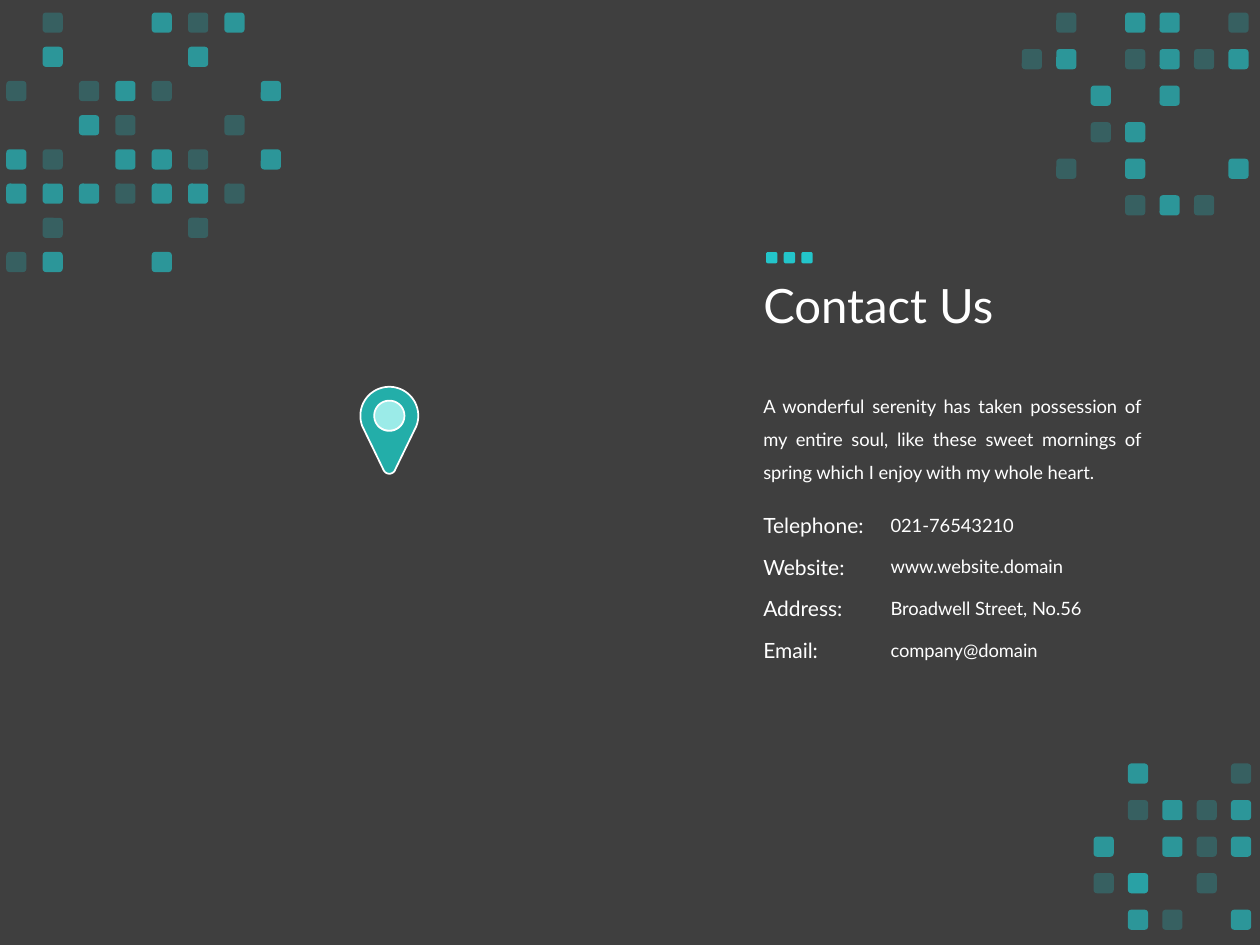
from math import cos, radians, sin

from lxml import etree
from pptx import Presentation
from pptx.dml.color import RGBColor
from pptx.enum.shapes import MSO_SHAPE
from pptx.enum.text import MSO_ANCHOR, MSO_AUTO_SIZE, PP_ALIGN
from pptx.oxml.ns import qn
from pptx.util import Inches, Pt

ROUNDED, ELLIPSE = MSO_SHAPE.ROUNDED_RECTANGLE, MSO_SHAPE.OVAL
TOP, MIDDLE = MSO_ANCHOR.TOP, MSO_ANCHOR.MIDDLE
LEFT, JUSTIFY = PP_ALIGN.LEFT, PP_ALIGN.JUSTIFY
GROW, FIXED = MSO_AUTO_SIZE.SHAPE_TO_FIT_TEXT, MSO_AUTO_SIZE.NONE

BACKGROUND = RGBColor(0x3F, 0x3F, 0x3F)
WHITE = RGBColor(0xFF, 0xFF, 0xFF)
CYAN = RGBColor(0x23, 0xC5, 0xCA)
TEAL = RGBColor(0x23, 0xAE, 0xA9)
PALE = RGBColor(0x9B, 0xEB, 0xE8)

# Opacity in percent of the tiles stacked at each pattern mark
OPACITIES = {".": (), "o": (25,), "#": (65,), "@": (65, 25)}

# First tile, last tile (left, top) and rows of marks
MOSAICS = [
    ((0.05, 0.1), (2.07, 2.0),
     [".o..#o#.", ".#...#..", "o.o#o..#", "..#o..o.",
      "#o.##o.#", "###o##o.", ".o...o..", "o#..#..."]),
    ((8.11, 0.1), (9.75, 1.55),
     [".o.##.o", "o#.o#o#", "..#.#..", "..o#...", ".o.#..#", "...o#o."]),
    ((8.68, 6.06), (9.77, 7.22),
     [".#..o", ".o#o#", "#.#o#", "o@.o.", ".#o.#"]),
]

CONTACTS = [
    ("Telephone:", "021-76543210"),
    ("Website:", "www.website.domain"),
    ("Address:", "Broadwell Street, No.56"),
    ("Email:", "company@domain"),
]


def arc(center_x, center_y, radius, start, end, step=6):
    """Points in EMU along an arc, clockwise from start to end degrees."""
    return [(Inches(center_x + radius * cos(radians(angle))),
             Inches(center_y + radius * sin(radians(angle))))
            for angle in range(start, end + 1, step)]


class SlideBuilder:
    font = "Lato"
    tile_size = 0.16

    def __init__(self, slide):
        self.slide = slide
        slide.background.fill.solid()
        slide.background.fill.fore_color.rgb = BACKGROUND

    def paint(self, shape, color, outline=None):
        shape.shadow.inherit = False
        shape.fill.solid()
        shape.fill.fore_color.rgb = color
        if outline is None:
            shape.line.fill.background()
        else:
            shape.line.color.rgb = outline
            shape.line.width = Pt(1)

    def shape(self, kind, left, top, size, color, outline=None, opacity=100):
        shape = self.slide.shapes.add_shape(
            kind, Inches(left), Inches(top), Inches(size), Inches(size))
        self.paint(shape, color, outline)
        if opacity < 100:
            color_element = shape.fill._xPr.find(".//" + qn("a:srgbClr"))
            alpha = etree.SubElement(color_element, qn("a:alpha"))
            alpha.set("val", str(opacity * 1000))

    def mosaic(self, first, last, rows):
        step_x = (last[0] - first[0]) / (len(rows[0]) - 1)
        step_y = (last[1] - first[1]) / (len(rows) - 1)
        for row, marks in enumerate(rows):
            for column, mark in enumerate(marks):
                for opacity in OPACITIES[mark]:
                    self.shape(ROUNDED, first[0] + column * step_x,
                               first[1] + row * step_y, self.tile_size,
                               CYAN, opacity=opacity)

    def outline(self, contours, color, line):
        builder = self.slide.shapes.build_freeform(*contours[0][0])
        builder.add_line_segments(contours[0][1:], close=True)
        for contour in contours[1:]:
            builder.move_to(*contour[0])
            builder.add_line_segments(contour[1:], close=True)
        self.paint(builder.convert_to_shape(), color, line)

    def text(self, words, left, top, width, height, size, spacing=1.0,
             align=LEFT, anchor=TOP, fit=GROW):
        box = self.slide.shapes.add_textbox(
            Inches(left), Inches(top), Inches(width), Inches(height))
        frame = box.text_frame
        frame.word_wrap = True
        frame.auto_size = fit
        frame.vertical_anchor = anchor
        paragraph = frame.paragraphs[0]
        paragraph.alignment = align
        paragraph.line_spacing = spacing
        run = paragraph.add_run()
        run.text = words
        run.font.name = self.font
        run.font.size = Pt(size)
        run.font.color.rgb = WHITE


def main():
    presentation = Presentation()
    presentation.slide_width = Inches(10)
    presentation.slide_height = Inches(7.5)
    builder = SlideBuilder(
        presentation.slides.add_slide(presentation.slide_layouts[6]))

    # Corner mosaics
    for first, last, rows in MOSAICS:
        builder.mosaic(first, last, rows)

    # Heading with its three dots
    for index in range(3):
        builder.shape(ROUNDED, 6.08 + index * 0.14, 2, 0.09, CYAN)
    builder.text("Contact Us", 5.96, 1.72, 3.9, 1.45, 27,
                 spacing=0.9, anchor=MIDDLE, fit=FIXED)

    # Introduction
    builder.text("A wonderful serenity has taken possession of my entire "
                 "soul, like these sweet mornings of spring which I enjoy "
                 "with my whole heart.",
                 5.96, 3, 3.2, 0.86, 10.5, spacing=1.5, align=JUSTIFY)

    # Contact details
    for index, (label, value) in enumerate(CONTACTS):
        top = 4.02 + index * 0.33
        builder.text(label, 5.96, top, 1.56, 0.3, 12)
        builder.text(value, 6.97, top + 0.01, 1.93, 0.28, 10.5)

    # Map pin: rounded head and tip around a round opening
    builder.shape(ELLIPSE, 2.96, 3.16, 0.26, PALE, WHITE)
    body = arc(3.09, 3.3, 0.23, 159, 381) + arc(3.09, 3.71, 0.05, 20, 160)
    opening = arc(3.09, 3.3, 0.12, 0, 354)[::-1]
    builder.outline([body, opening], TEAL, WHITE)

    presentation.save("out.pptx")


if __name__ == "__main__":
    main()
